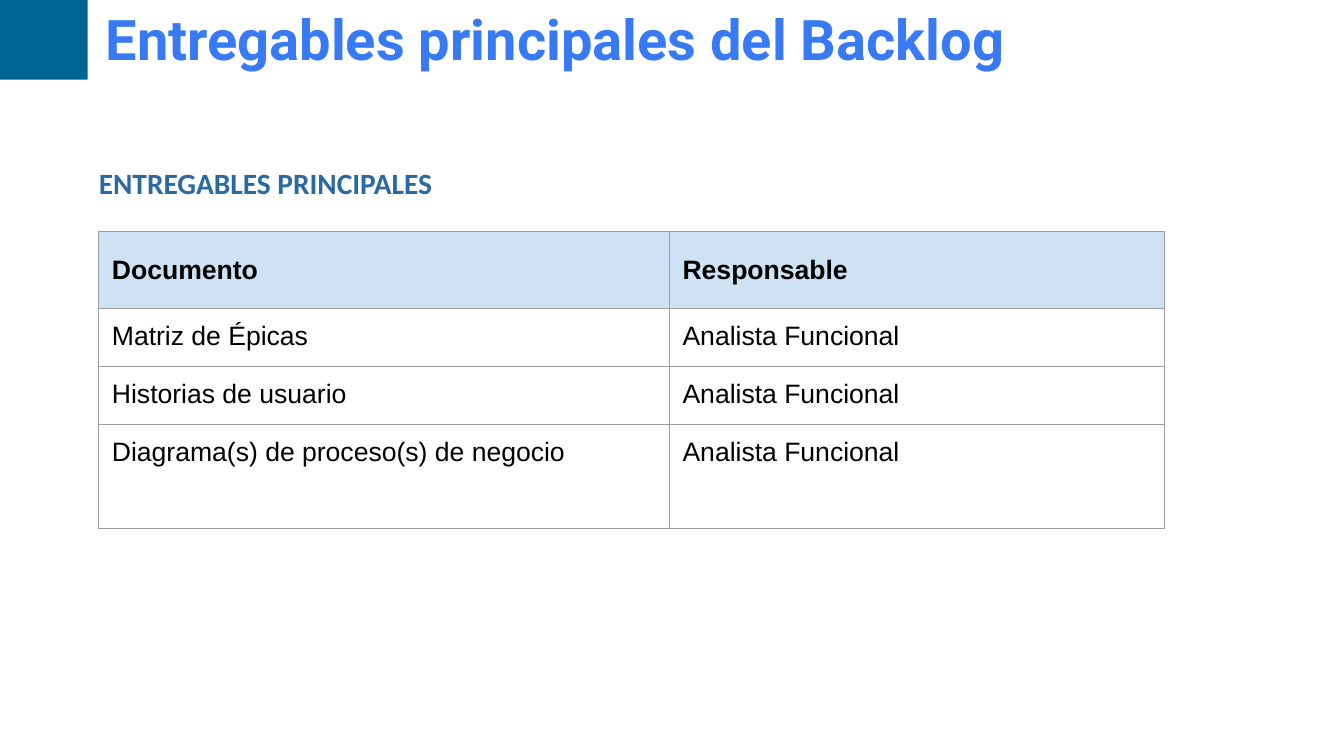
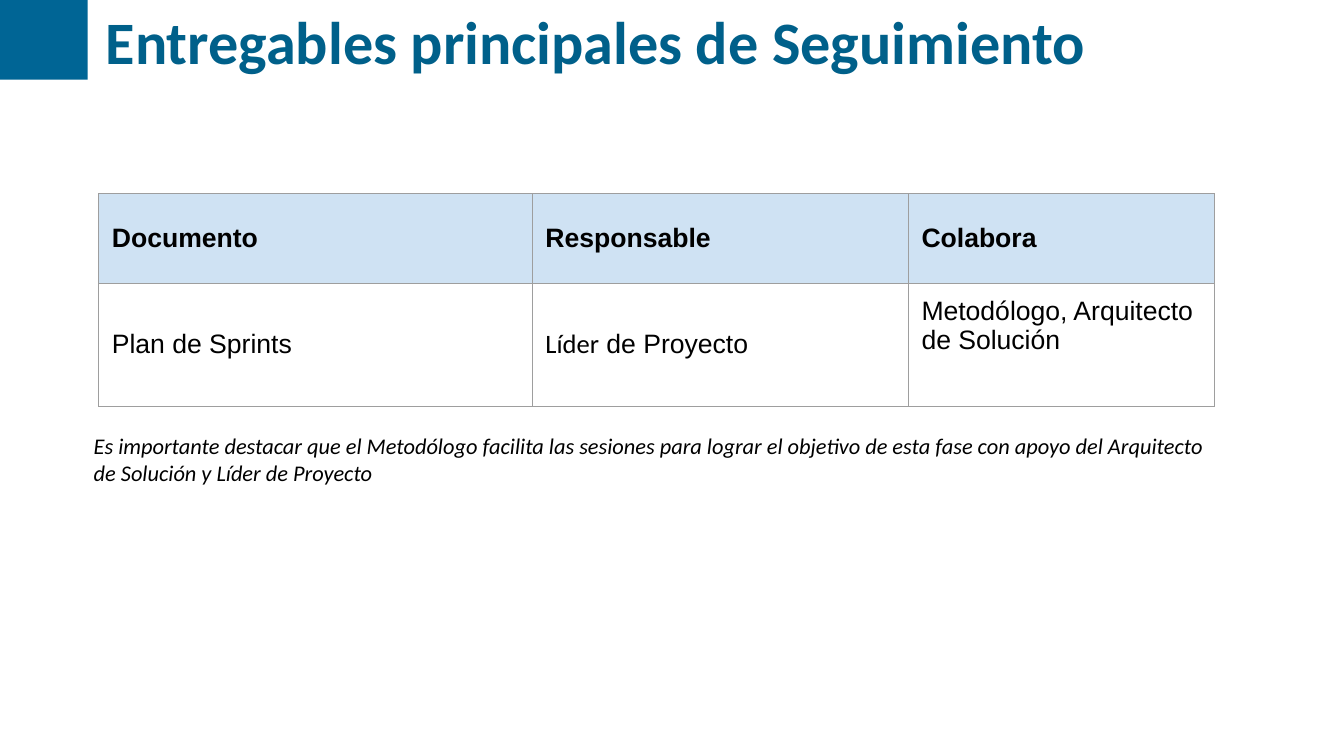
from dataclasses import dataclass

from lxml import etree
from pptx import Presentation
from pptx.dml.color import RGBColor
from pptx.enum.shapes import MSO_SHAPE
from pptx.enum.text import MSO_ANCHOR, MSO_AUTO_SIZE, PP_ALIGN
from pptx.oxml.ns import qn
from pptx.util import Inches, Pt

RECT = MSO_SHAPE.RECTANGLE
TOP, MIDDLE = MSO_ANCHOR.TOP, MSO_ANCHOR.MIDDLE
LEFT, JUSTIFY = PP_ALIGN.LEFT, PP_ALIGN.JUSTIFY
NO_AUTOFIT = MSO_AUTO_SIZE.NONE

BLACK = RGBColor(0x00, 0x00, 0x00)
BAND_BLUE = RGBColor(0x00, 0x65, 0x95)
TITLE_BLUE = RGBColor(0x00, 0x60, 0x8A)
BRIGHT_BLUE = RGBColor(0x37, 0x7A, 0xF4)
HEADING_BLUE = RGBColor(0x2A, 0x6A, 0xA0)
HEADER_FILL = RGBColor(0xCF, 0xE2, 0xF3)
BORDER_GREY = RGBColor(0x9E, 0x9E, 0x9E)

TITLE_ONLY = 5
PAD = 0.13
TABLE_LEFT = 0.98


@dataclass(frozen=True)
class Style:
    font: str
    size: float
    color: RGBColor = BLACK
    bold: bool = False
    italic: bool = False


@dataclass(frozen=True)
class Run:
    text: str
    style: Style


@dataclass(frozen=True)
class Cell:
    runs: tuple[Run, ...]
    anchor: MSO_ANCHOR = TOP
    fill: RGBColor | None = None


@dataclass(frozen=True)
class TableSpec:
    top: float
    widths: tuple[float, ...]
    heights: tuple[float, ...]
    rows: tuple[tuple[Cell, ...], ...]


BODY = Style("Arial", 19)
HEADER = Style("Arial", 19, bold=True)
BODY_CALIBRI = Style("Calibri", 19)
HEADING = Style("Calibri", 21, HEADING_BLUE, bold=True)
NOTE = Style("Calibri", 16, italic=True)
BACKLOG_TITLE = Style("Roboto", 40, BRIGHT_BLUE, bold=True)
TRACKING_TITLE = Style("Calibri", 43, TITLE_BLUE, bold=True)


def header(*labels: str) -> tuple[Cell, ...]:
    return tuple(Cell((Run(t, HEADER),), MIDDLE, HEADER_FILL) for t in labels)


def body(text: str, anchor: MSO_ANCHOR = TOP) -> Cell:
    return Cell((Run(text, BODY),), anchor)


BACKLOG_TABLE = TableSpec(
    top=2.3,
    widths=(5.66, 4.91),
    heights=(0.76, 0.56, 0.56, 1.03),
    rows=(
        header("Documento", "Responsable"),
        *((body(document), body("Analista Funcional")) for document in (
            "Matriz de Épicas",
            "Historias de usuario",
            "Diagrama(s) de proceso(s) de negocio",
        )),
    ),
)

TRACKING_TABLE = TableSpec(
    top=1.92,
    widths=(4.3, 3.73, 3.04),
    heights=(0.89, 1.22),
    rows=(
        header("Documento", "Responsable", "Colabora"),
        (
            body("Plan de Sprints", MIDDLE),
            Cell((Run("Líder", BODY_CALIBRI), Run(" de Proyecto", BODY)), MIDDLE),
            body("Metodólogo, Arquitecto de Solución"),
        ),
    ),
)


def add_run(p, run: Run) -> None:
    r = p.add_run()
    r.text = run.text
    font, style = r.font, run.style
    font.name = style.font
    font.size = Pt(style.size)
    font.bold = style.bold
    font.italic = style.italic
    font.color.rgb = style.color


def set_margins(target, x: float, y: float) -> None:
    """Set the insets of a text frame or a table cell."""
    target.margin_left = target.margin_right = Inches(x)
    target.margin_top = target.margin_bottom = Inches(y)


def set_borders(cell, color: RGBColor, width: float) -> None:
    """Add the four cell lines; call before the cell is filled."""
    tc_pr = cell._tc.get_or_add_tcPr()
    for side in ("a:lnL", "a:lnR", "a:lnT", "a:lnB"):
        ln = etree.SubElement(tc_pr, qn(side), w=str(Pt(width)))
        fill = etree.SubElement(ln, qn("a:solidFill"))
        etree.SubElement(fill, qn("a:srgbClr"), val=str(color))


def add_title_slide(prs, title: str, style: Style):
    """Add a slide with the corner band and a title beside it."""
    s = prs.slides.add_slide(prs.slide_layouts[TITLE_ONLY])
    band = s.shapes.add_shape(RECT, 0, 0, Inches(0.87), Inches(0.79))
    band.shadow.inherit = False
    band.fill.solid()
    band.fill.fore_color.rgb = BAND_BLUE
    band.line.fill.background()

    sp = s.shapes.title
    sp.left, sp.top = Inches(0.92), Inches(-0.03)
    sp.width, sp.height = Inches(12.2), Inches(0.86)
    tf = sp.text_frame
    tf.auto_size = NO_AUTOFIT
    tf.word_wrap = True
    tf.vertical_anchor = TOP
    set_margins(tf, PAD, 0.07)
    p = tf.paragraphs[0]
    p.alignment = LEFT
    add_run(p, Run(title, style))
    return s


def add_text(s, left: float, top: float, width: float, height: float,
             run: Run, align: PP_ALIGN = LEFT) -> None:
    sp = s.shapes.add_textbox(Inches(left), Inches(top), Inches(width), Inches(height))
    tf = sp.text_frame
    tf.word_wrap = True
    set_margins(tf, PAD, PAD)
    p = tf.paragraphs[0]
    p.alignment = align
    add_run(p, run)


def add_table(s, spec: TableSpec) -> None:
    frame = s.shapes.add_table(
        len(spec.heights), len(spec.widths), Inches(TABLE_LEFT), Inches(spec.top),
        Inches(sum(spec.widths)), Inches(sum(spec.heights)))
    table = frame.table
    table.first_row = table.horz_banding = False
    for column, width in zip(table.columns, spec.widths):
        column.width = Inches(width)
    for row, height, cells in zip(table.rows, spec.heights, spec.rows):
        row.height = Inches(height)
        for cell, content in zip(row.cells, cells):
            set_margins(cell, PAD, PAD)
            cell.vertical_anchor = content.anchor
            set_borders(cell, BORDER_GREY, 0.75)
            if content.fill is None:
                cell.fill.background()
            else:
                cell.fill.solid()
                cell.fill.fore_color.rgb = content.fill
            for run in content.runs:
                add_run(cell.text_frame.paragraphs[0], run)


def main() -> None:
    prs = Presentation()
    prs.slide_width, prs.slide_height = Inches(13.33), Inches(7.5)

    s = add_title_slide(prs, "Entregables principales del Backlog", BACKLOG_TITLE)
    add_text(s, 0.85, 1.51, 6.48, 0.68, Run("ENTREGABLES PRINCIPALES", HEADING), JUSTIFY)
    add_table(s, BACKLOG_TABLE)

    s = add_title_slide(prs, "Entregables principales de Seguimiento", TRACKING_TITLE)
    add_table(s, TRACKING_TABLE)
    add_text(s, 0.8, 4.16, 11.43, 0.81, Run(
        "Es importante destacar que el Metodólogo facilita las sesiones para lograr "
        "el objetivo de esta fase con apoyo del Arquitecto de Solución y Líder de "
        "Proyecto", NOTE))

    prs.save("out.pptx")


if __name__ == "__main__":
    main()
